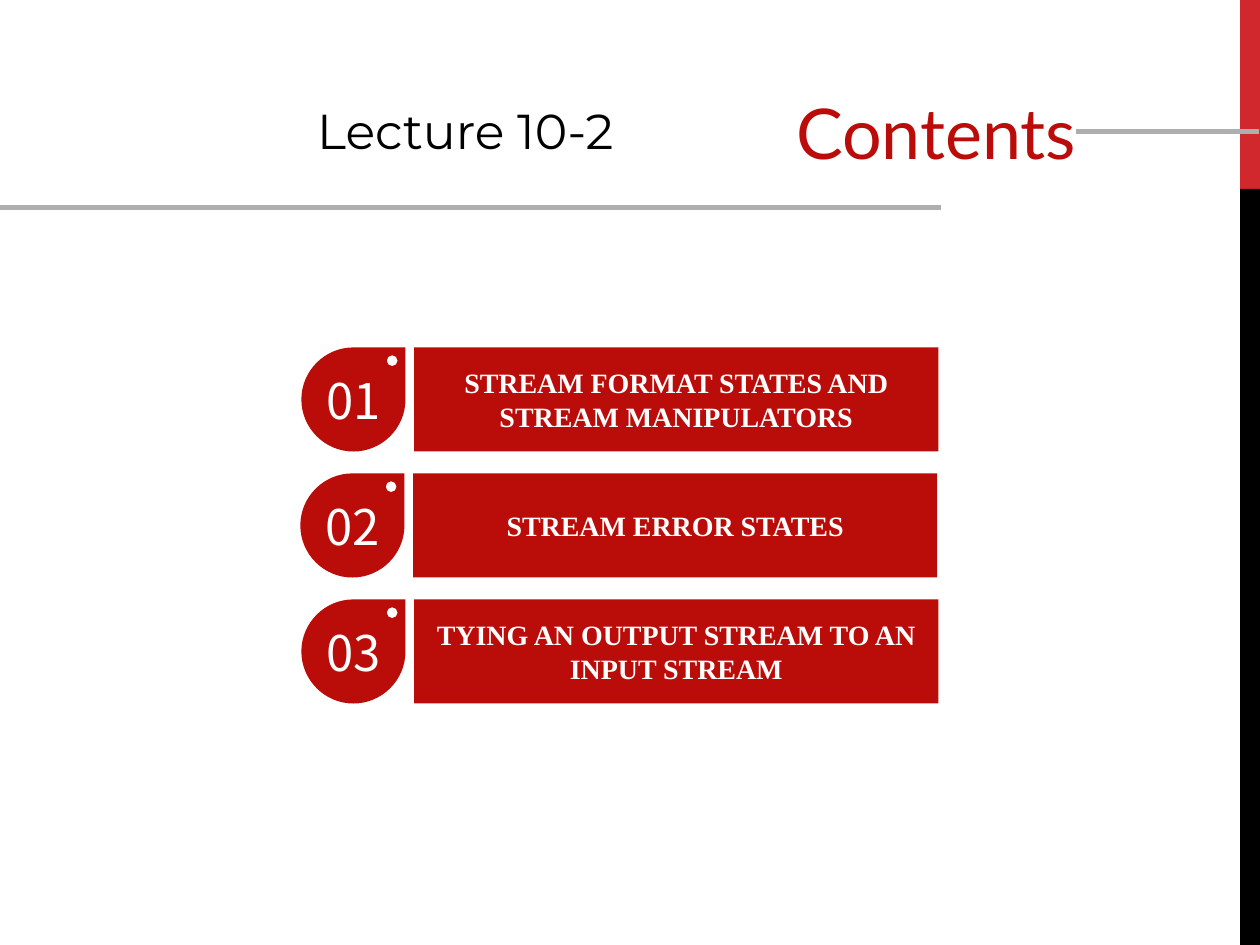
from pptx import Presentation
from pptx.dml.color import RGBColor
from pptx.enum.shapes import MSO_CONNECTOR as Connector, MSO_SHAPE as Shape
from pptx.enum.text import MSO_ANCHOR as Anchor, MSO_AUTO_SIZE as AutoSize, PP_ALIGN as Align
from pptx.oxml.ns import qn
from pptx.util import Pt

TOPICS = [
    ("01", "STREAM FORMAT STATES AND STREAM MANIPULATORS", 172.2),
    ("02", "STREAM ERROR STATES", 171.6),
    ("03", "TYING AN OUTPUT STREAM TO AN INPUT STREAM", 172.2),
]
SIDE_BARS = [(0, 108, "D1282E"), (108, 432, "000000")]
RULES = [(614.9, 719.3, 75.2), (-0.7, 537.8, 118.6)]
RED, WHITE, GREY = "BA0D09", "FFFFFF", "ACAEB0"
ROW_TOP, ROW_STEP, ROW_HEIGHT = 198.5, 72, 59.5
BAR_OFFSET, BAR_WIDTH = 64.5, 299.5
HOLE_X, HOLE_Y, HOLE_RADIUS = 51.9, 7.6, 3.1
UNITS, ROUNDNESS = 100, 0.55


def color(value):
    return RGBColor.from_string(value)


def write(box, text, font, size, ink, align=Align.CENTER, anchor=Anchor.MIDDLE, bold=False, wrap=True):
    frame = box.text_frame
    frame.auto_size = AutoSize.NONE
    frame.word_wrap = wrap
    frame.vertical_anchor = anchor
    para = frame.paragraphs[0]
    para.alignment = align
    span = para.add_run()
    span.text = text
    span.font.name, span.font.size, span.font.bold = font, Pt(size), bold
    span.font.color.rgb = color(ink)


def paint(shape, fill):
    shape.shadow.inherit = False
    shape.fill.solid()
    shape.fill.fore_color.rgb = color(fill)
    shape.line.fill.background()
    return shape


def add_block(page, left, top, width, height, fill):
    return paint(page.shapes.add_shape(Shape.RECTANGLE, Pt(left), Pt(top), Pt(width), Pt(height)), fill)


def compass(x, y, radius, turn):
    steps = [(1, 0), (0, turn), (-1, 0), (0, -turn)]
    return [((x + radius * dx) * UNITS, (y + radius * dy) * UNITS) for dx, dy in steps]


def round_corners(shape):
    start, quarter = None, 0
    for step in shape._element.find(".//" + qn("a:path")):
        if step.tag == qn("a:close"):
            continue
        point = step[0]
        end = int(point.get("x")), int(point.get("y"))
        if step.tag == qn("a:moveTo"):
            quarter = 0
        elif start[0] != end[0] and start[1] != end[1]:
            corner = (end[0], start[1]) if quarter % 2 else (start[0], end[1])
            curve = step.makeelement(qn("a:cubicBezTo"), {})
            for anchor in (start, end):
                x, y = [round(a + ROUNDNESS * (c - a)) for a, c in zip(anchor, corner)]
                curve.append(step.makeelement(qn("a:pt"), {"x": str(x), "y": str(y)}))
            curve.append(point)
            step.getparent().replace(step, curve)
            quarter += 1
        start = end


def add_drop(page, left, top):
    radius = ROW_HEIGHT / 2
    rim = compass(left + radius, top + radius, radius, 1)
    hole = compass(left + HOLE_X, top + HOLE_Y, HOLE_RADIUS, -1)
    tip = ((left + ROW_HEIGHT) * UNITS, top * UNITS)
    builder = page.shapes.build_freeform(*rim[0], scale=Pt(1) / UNITS)
    builder.add_line_segments(rim[1:] + [tip])
    builder.move_to(*hole[0])
    builder.add_line_segments(hole[1:] + hole[:1])
    drop = builder.convert_to_shape()
    round_corners(drop)
    return paint(drop, RED)


def add_rule(page, start, end, y):
    rule = page.shapes.add_connector(Connector.STRAIGHT, Pt(start), Pt(y), Pt(end), Pt(y))
    rule.line.color.rgb = color(GREY)
    rule.line.width = Pt(3)
    properties = rule._element.spPr
    properties.append(properties.makeelement(qn("a:effectLst"), {}))


def main():
    """Build the lecture contents slide."""
    deck = Presentation()
    deck.slide_width, deck.slide_height = Pt(720), Pt(540)
    page = deck.slides.add_slide(deck.slide_layouts[5])

    for top, height, fill in SIDE_BARS:
        add_block(page, 708.7, top, 11.3, height, fill)

    title = page.shapes.title
    title.left, title.top, title.width, title.height = Pt(360.7), Pt(51.4), Pt(261.4), Pt(83.5)
    title.text_frame.margin_top = 0
    write(title, "Contents", "Lato", 40, RED, align=Align.RIGHT, anchor=Anchor.TOP)

    for start, end, y in RULES:
        add_rule(page, start, end, y)

    lecture = page.shapes.add_textbox(Pt(174.2), Pt(54), Pt(209.5), Pt(41))
    write(lecture, "Lecture 10-2", "Montserrat", 28, "000000", align=Align.LEFT, anchor=Anchor.TOP, wrap=False)

    for row, (number, topic, left) in enumerate(TOPICS):
        top = ROW_TOP + row * ROW_STEP
        write(add_drop(page, left, top), number, "Noto Sans CJK JP", 28, WHITE)
        bar = add_block(page, left + BAR_OFFSET, top, BAR_WIDTH, ROW_HEIGHT, RED)
        write(bar, topic, "Times New Roman", 16, WHITE, bold=True)

    deck.save("out.pptx")


if __name__ == "__main__":
    main()
